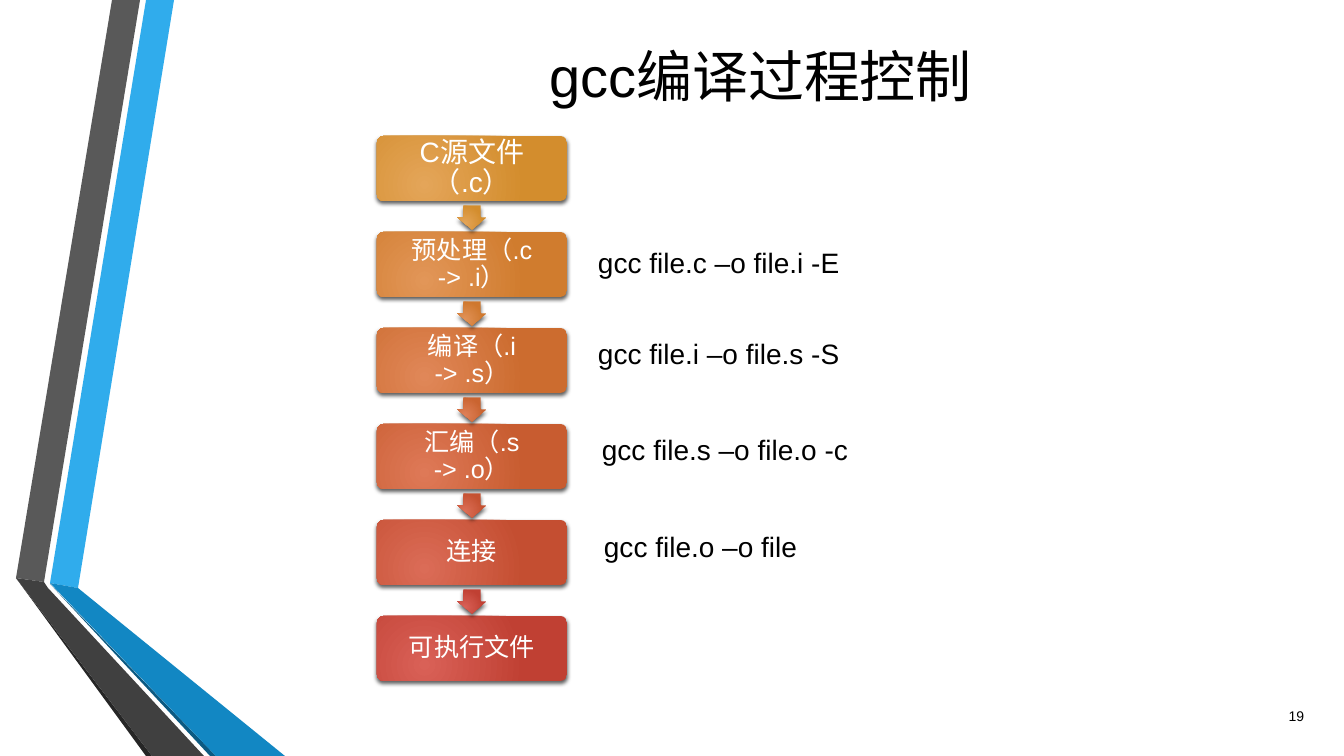
from lxml.etree import SubElement
from pptx import Presentation
from pptx.dml.color import RGBColor
from pptx.enum.shapes import MSO_SHAPE
from pptx.enum.text import MSO_ANCHOR, MSO_AUTO_SIZE, PP_ALIGN
from pptx.oxml.ns import qn
from pptx.util import Pt

PX = 914400 / 100.8
RIBBONS = [
    ("30ACEC", [(50, 583), (78, 588), (174, 0), (146, 0)]),
    ("595959", [(140, 0), (112, 0), (16, 578), (44, 582)]),
    ("262626", [(16, 578), (146, 756), (152, 756)]),
    ("0C5A82", [(50, 584), (210, 756), (216, 756)]),
    ("1287C3", [(50, 583), (216, 756), (285, 756), (78, 588)]),
    ("404040", [(204, 756), (48, 588), (44, 582), (16, 578), (152, 756)]),
]
STAGES = [
    ("C源文件（.c）", 20, "E4A559", "D38D2D"),
    ("预处理（.c -> .i）", 18, "E29658", "D07C2E"),
    ("编译（.i -> .s）", 18, "E08758", "CC6C2F"),
    ("汇编（.s -> .o）", 18, "DE7957", "C85C30"),
    ("连接", 18, "DB6C57", "C44E31"),
    ("可执行文件", 18, "D96157", "C04033"),
]
ARROWS = [
    ("E4A559", "D38D2D"), ("E19258", "CF782E"), ("DF8058", "CA6430"),
    ("DC6F57", "C55131"), ("D96157", "C04033"),
]
COMMANDS = [
    ("gcc file.c –o file.i -E", 588, 241),
    ("gcc file.i –o file.s -S", 588, 332),
    ("gcc file.s –o file.o -c", 592, 428),
    ("gcc file.o –o file", 594, 525),
]
PITCH = 96


def rgb(value):
    """Turn a hex string into a colour."""
    return RGBColor.from_string(value)


def emu(*lengths):
    """Turn pixel lengths into EMU."""
    return [round(n * PX) for n in lengths]


class Deck:
    """Hold the style and the current slide."""

    font = "Arial"

    def __init__(self, prs):
        """Add a title-only slide."""
        self.s = prs.slides.add_slide(prs.slide_layouts[5])

    def set_text(self, sp, text, size, color="000000", align=PP_ALIGN.LEFT,
                 anchor=MSO_ANCHOR.MIDDLE):
        """Set and format the text of a shape."""
        tf = sp.text_frame
        tf.text = text
        tf.word_wrap = True
        tf.auto_size = MSO_AUTO_SIZE.NONE
        tf.vertical_anchor = anchor
        p = tf.paragraphs[0]
        p.alignment = align
        r = p.runs[0]
        r.font.name, r.font.size = self.font, Pt(size)
        r.font.color.rgb = rgb(color)
        return tf

    def title(self, text, x, y, w, h):
        """Place and fill the title placeholder."""
        sp = self.s.shapes.title
        sp.left, sp.top, sp.width, sp.height = emu(x, y, w, h)
        self.set_text(sp, text, 40, align=PP_ALIGN.CENTER)

    def label(self, text, x, y, w, h, size, **style):
        """Add a text box."""
        sp = self.s.shapes.add_textbox(*emu(x, y, w, h))
        self.set_text(sp, text, size, **style)

    def ribbon(self, color, points):
        """Add a flat polygon."""
        fb = self.s.shapes.build_freeform(*points[0], scale=PX)
        fb.add_line_segments(points[1:], close=True)
        sp = fb.convert_to_shape()
        sp.shadow.inherit = False
        sp.fill.solid()
        sp.fill.fore_color.rgb = rgb(color)
        sp.line.fill.background()

    def glossy(self, kind, x, y, w, h, colors, adjustments):
        """Add a shape with a radial gradient and a soft shadow."""
        sp = self.s.shapes.add_shape(kind, *emu(x, y, w, h))
        for i, value in enumerate(adjustments):
            sp.adjustments[i] = value
        sp.line.fill.background()
        sp.fill.gradient()
        for stop, color in zip(sp.fill.gradient_stops, colors):
            stop.color.rgb = rgb(color)
        grad = sp._element.spPr.find(qn("a:gradFill"))
        grad.remove(grad.find(qn("a:lin")))
        radial = SubElement(grad, qn("a:path"), path="circle")
        SubElement(radial, qn("a:fillToRect"), l="50000", t="100000",
                   r="100000", b="50000")
        sp.shadow.inherit = False
        effects = sp._element.spPr.find(qn("a:effectLst"))
        shadow = SubElement(effects, qn("a:outerShdw"), blurRad="38100",
                            dist="25400", dir="5400000", rotWithShape="0")
        color = SubElement(shadow, qn("a:srgbClr"), val="000000")
        SubElement(color, qn("a:alpha"), val="64000")
        return sp

    def stage(self, text, size, colors, x, y, w, h):
        """Add a rounded box with centred text."""
        sp = self.glossy(MSO_SHAPE.ROUNDED_RECTANGLE, x, y, w, h, colors, [0.1])
        tf = self.set_text(sp, text, size, "FFFFFF", PP_ALIGN.CENTER)
        tf.paragraphs[0].line_spacing = 0.9
        inset, = emu(size // 2)
        tf.margin_left = tf.margin_right = inset
        tf.margin_top = tf.margin_bottom = inset

    def arrow(self, colors, x, y, w, h):
        """Add a block arrow that points down."""
        sp = self.glossy(MSO_SHAPE.RIGHT_ARROW, x, y, w, h, colors, [0.6, 0.5])
        sp.rotation = 90


prs = Presentation()
prs.slide_width, prs.slide_height = emu(1344, 756)
deck = Deck(prs)
for color, points in RIBBONS:
    deck.ribbon(color, points)
deck.title("gcc编译过程控制", 205, 26, 1111, 99)
deck.label("19", 1254, 696, 60, 40, 10, align=PP_ALIGN.RIGHT)
for i, (text, size, *colors) in enumerate(STAGES):
    deck.stage(text, size, colors, 377, 136 + i * PITCH, 190, 65)
for i, colors in enumerate(ARROWS):
    deck.arrow(colors, 460, 203 + i * PITCH, 24, 29)
for text, x, y in COMMANDS:
    deck.label(text, x, y, 370, 44, 20, anchor=MSO_ANCHOR.TOP)
prs.save("out.pptx")
